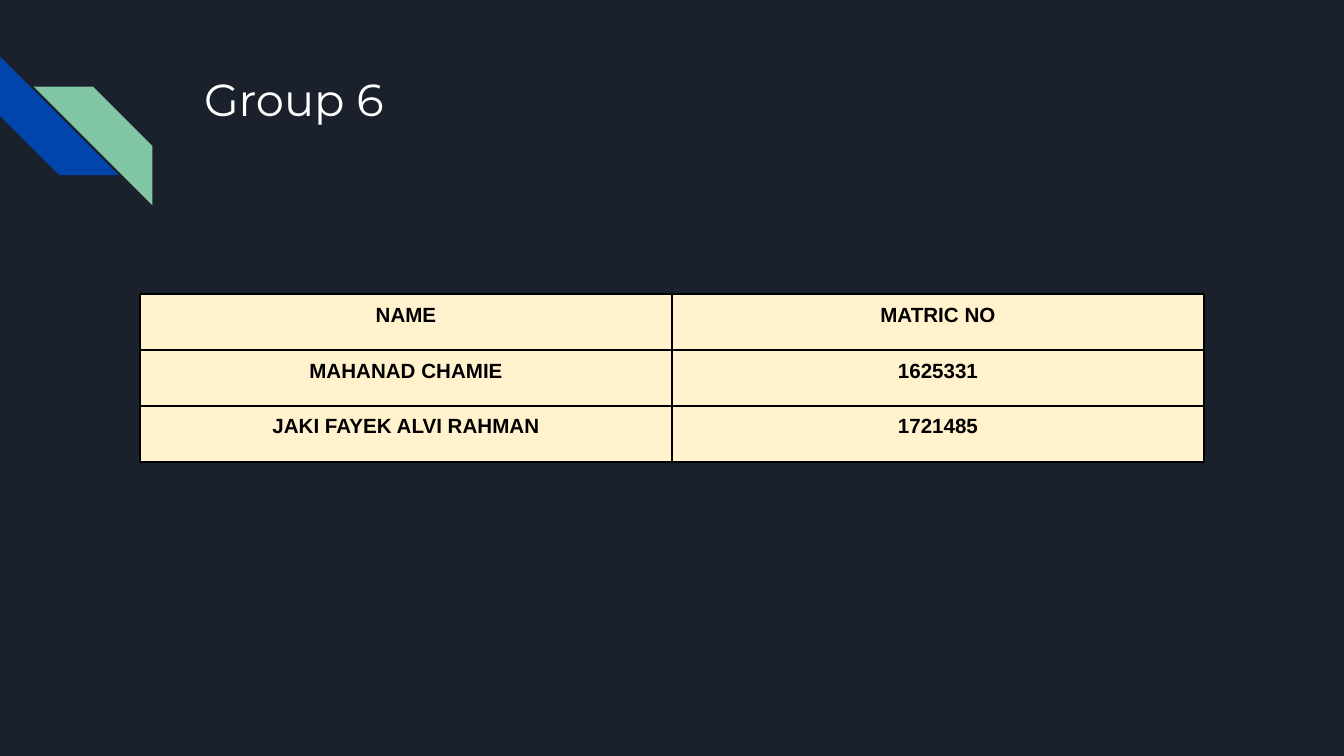
"""Build the group members slide."""
from lxml.etree import SubElement as Sub
from pptx import Presentation
from pptx.dml.color import RGBColor as Rgb
from pptx.enum.shapes import MSO_SHAPE as Kind
from pptx.enum.text import PP_ALIGN as Align
from pptx.oxml.ns import qn
from pptx.util import Inches, Pt

WIDE = Inches(10)
HIGH = WIDE * 9 // 16
NIGHT, BLUE, GREEN = "1B212C", "0145AC", "82C7A5"
CREAM, BLACK, WHITE = "FFF2CC", "000000", "FFFFFF"
ROWS = [
    ("NAME", "MATRIC NO"),
    ("MAHANAD CHAMIE", "1625331"),
    ("JAKI FAYEK ALVI RAHMAN", "1721485"),
]


def across(share):
    """Turn a percentage of the slide's width into a length."""
    return round(WIDE * share / 100)


def down(share):
    """Turn a percentage of the slide's height into a length."""
    return round(HIGH * share / 100)


def paint(fill, color):
    """Give a fill one solid colour from a hex string."""
    fill.solid()
    fill.fore_color.rgb = Rgb.from_string(color)


def style(font, name, size, color, bold=False):
    """Set a font's face, size, colour and weight."""
    font.name, font.size, font.bold = name, Pt(size), bold
    paint(font.fill, color)


def add_stripe(slide, left, top, turn, color):
    """Add a turned diagonal stripe in a square frame."""
    side = across(8.84)
    stripe = slide.shapes.add_shape(
        Kind.DIAGONAL_STRIPE, across(left), down(top), side, side)
    stripe.rotation = turn
    stripe.shadow.inherit = False
    paint(stripe.fill, color)
    stripe.line.fill.background()


def add_title(slide, text):
    """Add the slide's heading."""
    box = slide.shapes.add_textbox(
        across(14.2), down(7.7), across(77), down(17.8))
    frame = box.text_frame
    frame.word_wrap = True
    frame.margin_left = frame.margin_right = Inches(0.1)
    frame.margin_top = frame.margin_bottom = Inches(0.1)
    frame.text = text
    style(frame.paragraphs[0].font, "Montserrat", 24, WHITE)


def add_edges(cell, color):
    """Draw a one-point line on each side of a cell."""
    props = cell._tc.get_or_add_tcPr()
    for side in ("lnL", "lnR", "lnT", "lnB"):
        line = Sub(props, qn(f"a:{side}"), w=str(Pt(1)))
        Sub(Sub(line, qn("a:solidFill")), qn("a:srgbClr"), val=color)


def fill_cell(cell, text):
    """Write and format one table cell."""
    cell.text = text
    cell.margin_left = cell.margin_right = Inches(0.07)
    cell.margin_top = cell.margin_bottom = Inches(0.07)
    para = cell.text_frame.paragraphs[0]
    para.alignment = Align.CENTER
    style(para.font, "Arial", 11, BLACK, True)
    add_edges(cell, BLACK)
    paint(cell.fill, CREAM)


def add_grid(slide, rows):
    """Add the table of members with equal columns and rows."""
    count, cols = len(rows), len(rows[0])
    grid = slide.shapes.add_table(
        count, cols, across(10.42), down(38.9),
        across(39.58) * cols, down(7.41) * count).table
    grid.first_row = grid.horz_banding = False
    for r, row in enumerate(rows):
        for c, text in enumerate(row):
            fill_cell(grid.cell(r, c), text)


def main():
    """Build and save the deck."""
    deck = Presentation()
    deck.slide_width, deck.slide_height = WIDE, HIGH
    slide = deck.slides.add_slide(deck.slide_layouts[6])
    paint(slide.background.fill, NIGHT)
    add_stripe(slide, 0, 7.45, 270, BLUE)
    add_stripe(slide, 2.5, 11.45, 90, GREEN)
    add_title(slide, "Group 6")
    add_grid(slide, ROWS)
    deck.save("out.pptx")


if __name__ == "__main__":
    main()
